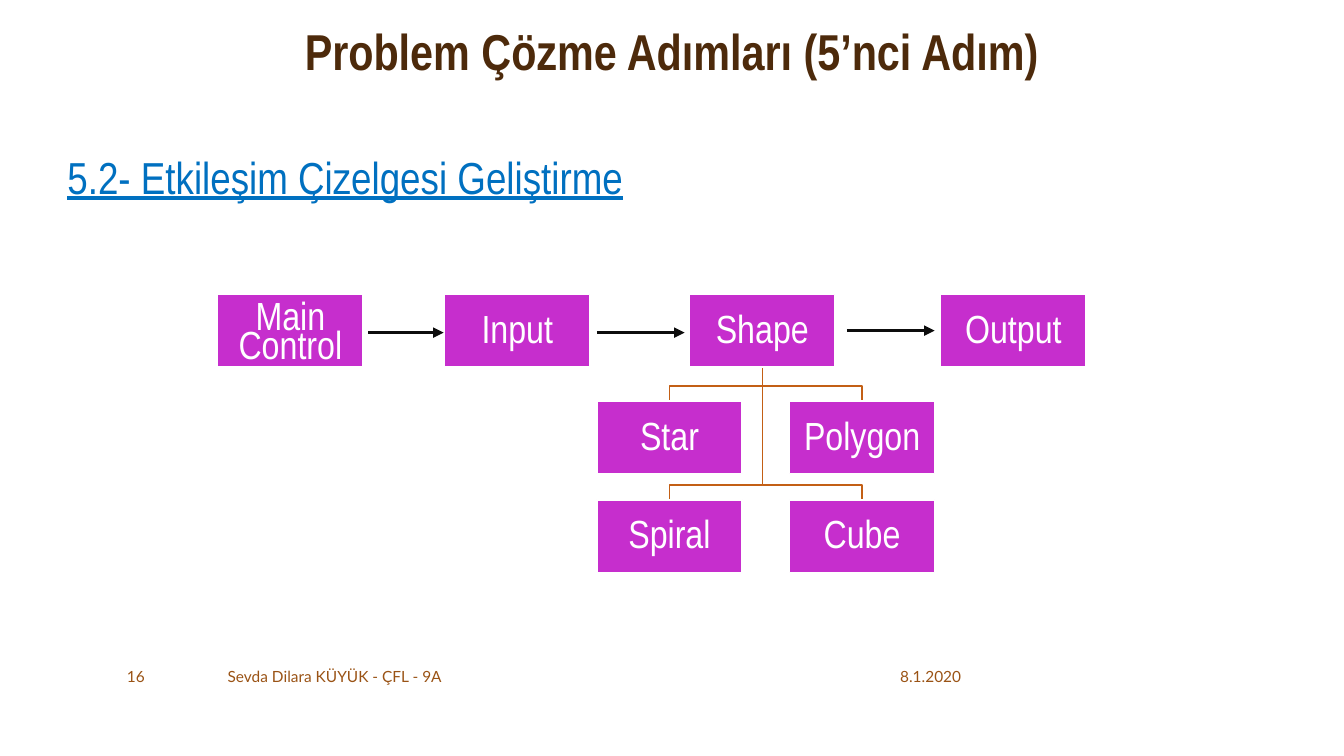
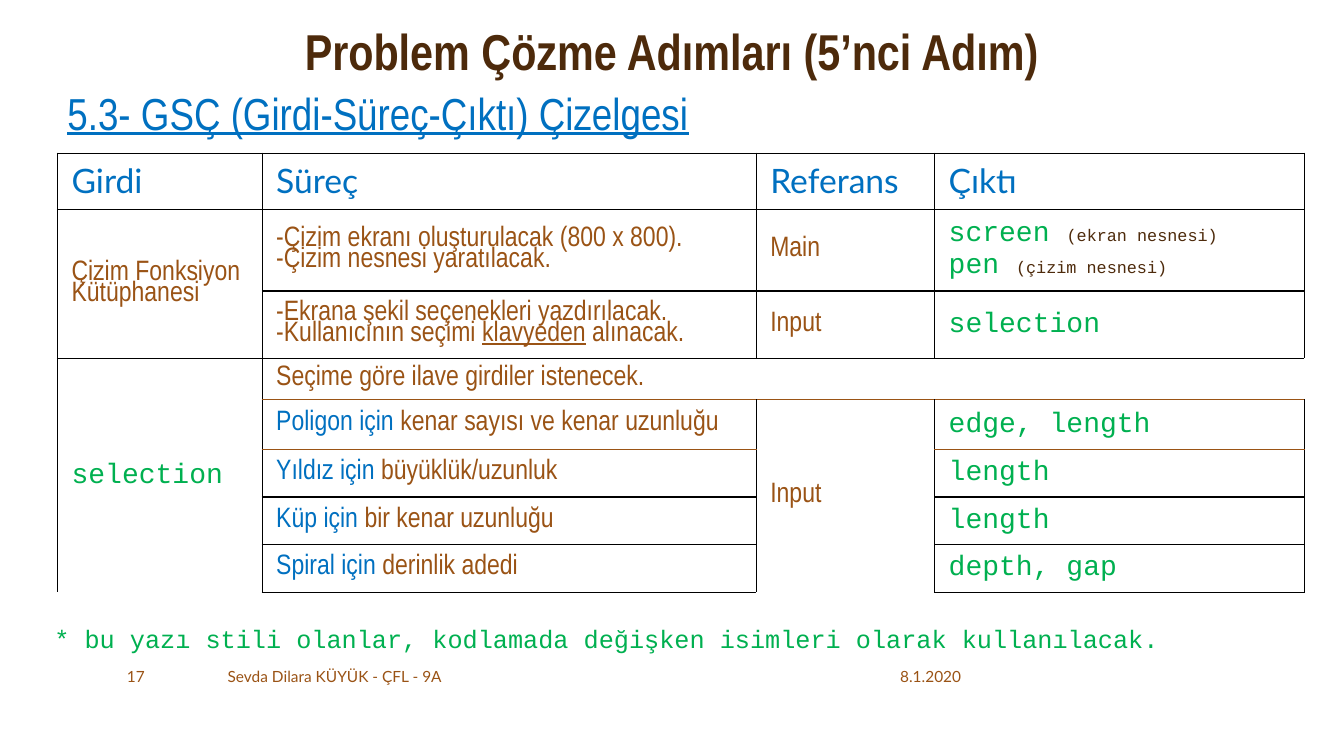
from lxml import etree
from pptx import Presentation
from pptx.dml.color import RGBColor
from pptx.enum.shapes import MSO_CONNECTOR, MSO_SHAPE
from pptx.enum.text import MSO_ANCHOR, PP_ALIGN
from pptx.oxml.ns import qn
from pptx.util import Inches, Pt

BROWN = RGBColor(0x4D, 0x2A, 0x0B)
RUST = RGBColor(0x9A, 0x53, 0x15)
ORANGE = RGBColor(0xC3, 0x5F, 0x15)
BLUE = RGBColor(0x00, 0x70, 0xC0)
GREEN = RGBColor(0x00, 0xB0, 0x50)
PURPLE = RGBColor(0xC6, 0x2E, 0xCD)
WHITE = RGBColor(0xFF, 0xFF, 0xFF)
BLACK = RGBColor(0x00, 0x00, 0x00)
INK = RGBColor(0x0D, 0x0D, 0x0D)

TOP, MIDDLE, BOTTOM = MSO_ANCHOR.TOP, MSO_ANCHOR.MIDDLE, MSO_ANCHOR.BOTTOM
CENTER = PP_ALIGN.CENTER
RECT = MSO_SHAPE.RECTANGLE
STRAIGHT = MSO_CONNECTOR.STRAIGHT

NARROW, MONO, LATO = "Arial Narrow", "Courier New", "Lato"
STYLES = {
    "title": (NARROW, 36, BROWN),
    "head": (NARROW, 32, BLUE),
    "foot": (LATO, 11, RUST),
    "box": (NARROW, 28, WHITE),
    "column": (LATO, 24, BLUE),
    "text": (NARROW, 20, RUST),
    "under": (NARROW, 20, RUST),
    "case": (NARROW, 20, BLUE),
    "code": (MONO, 20, GREEN),
    "small": (MONO, 12, BROWN),
    "note": (MONO, 18, GREEN),
}
BOLD = {"title"}
LINED = {"head", "under"}

TITLE = "Problem Çözme Adımları (5’nci Adım)"
AUTHOR = "Sevda Dilara KÜYÜK - ÇFL - 9A"
DATE = "8.1.2020"
NOTE = "* bu yazı stili olanlar, kodlamada değişken isimleri olarak kullanılacak."

BOX_W, BOX_H = 1.44, 0.72
ROW_Y = 2.92
STEPS = [("Main\nControl", 2.16), ("Input", 4.41), ("Shape", 6.84), ("Output", 9.33)]
ARROWS = [(3.65, 4.4, 3.3), (5.92, 6.79, 3.3), (8.4, 9.27, 3.28)]
KID_X = [5.92, 7.83]
KIDS = [(3.98, ["Star", "Polygon"]), (4.96, ["Spiral", "Cube"])]
DROP = 0.15

COLS = [2.03, 4.9, 1.77, 3.67]
ROWS = [0.56, 0.78, 0.66, 0.4, 0.49, 0.46, 0.45, 0.46]
MERGES = [(1, 0, 2, 0), (3, 0, 7, 0), (3, 1, 3, 3), (4, 2, 7, 2)]
RUSTY = {(4, 1), (4, 2), (4, 3), (5, 1), (5, 3)}
CELLS = {
    (0, 0): [[("Girdi", "column")]],
    (0, 1): [[("Süreç", "column")]],
    (0, 2): [[("Referans", "column")]],
    (0, 3): [[("Çıktı", "column")]],
    (1, 0): [[("Çizim Fonksiyon Kütüphanesi", "text")]],
    (1, 1): [[("-Çizim ekranı oluşturulacak (800 x 800).", "text")],
             [("-Çizim nesnesi yaratılacak.", "text")]],
    (1, 2): [[("Main", "text")]],
    (1, 3): [[("screen ", "code"), ("(ekran nesnesi)", "small")],
             [("pen ", "code"), ("(çizim nesnesi)", "small")]],
    (2, 1): [[("-Ekrana şekil seçenekleri yazdırılacak.", "text")],
             [("-Kullanıcının seçimi ", "text"), ("klavyeden", "under"),
              (" alınacak.", "text")]],
    (2, 2): [[("Input", "text")]],
    (2, 3): [[("selection", "code")]],
    (3, 0): [[("selection", "code")]],
    (3, 1): [[("Seçime göre ilave girdiler istenecek.", "text")]],
    (4, 1): [[("Poligon için ", "case"), ("kenar sayısı ve kenar uzunluğu", "text")]],
    (4, 2): [[("Input", "text")]],
    (4, 3): [[("edge, length", "code")]],
    (5, 1): [[("Yıldız için ", "case"), ("büyüklük/uzunluk", "text")]],
    (5, 3): [[("length", "code")]],
    (6, 1): [[("Küp için ", "case"), ("bir kenar uzunluğu", "text")]],
    (6, 3): [[("length", "code")]],
    (7, 1): [[("Spiral için ", "case"), ("derinlik adedi", "text")]],
    (7, 3): [[("depth, gap", "code")]],
}


def style(font, name):
    font.name, size, font.color.rgb = STYLES[name]
    font.size = Pt(size)
    if name in BOLD:
        font.bold = True
    if name in LINED:
        font.underline = True


def write(frame, paras, align=None, space=None):
    for i, runs in enumerate(paras):
        para = frame.add_paragraph() if i else frame.paragraphs[0]
        if align is not None:
            para.alignment = align
        if space:
            para.line_spacing = space
        if len(runs) == 1:
            style(para.font, runs[0][1])
        for text, name in runs:
            run = para.add_run()
            run.text = text
            if len(runs) > 1:
                style(run.font, name)


def label(slide, text, name, x, y, w, h, anchor=TOP, align=None, space=None):
    box = slide.shapes.add_textbox(Inches(x), Inches(y), Inches(w), Inches(h))
    frame = box.text_frame
    frame.word_wrap = True
    frame.vertical_anchor = anchor
    write(frame, [[(text, name)]], align, space)


def start(deck, number, head, y):
    slide = deck.slides.add_slide(deck.slide_layouts[6])
    label(slide, TITLE, "title", 0, 0.24, 13.33, 0.59, MIDDLE, CENTER, 0.9)
    label(slide, head, "head", 0.57, y, 12, 0.72)
    for text, x, w in [(DATE, 8.83, 1.53), (AUTHOR, 2.16, 6.5), (str(number), 1.16, 0.83)]:
        label(slide, text, "foot", x, 6.58, w, 0.25, MIDDLE)
    return slide


def block(slide, text, x, y):
    box = slide.shapes.add_shape(RECT, Inches(x), Inches(y), Inches(BOX_W), Inches(BOX_H))
    box.shadow.inherit = False
    box.fill.solid()
    box.fill.fore_color.rgb = PURPLE
    box.line.color.rgb = WHITE
    box.line.width = Pt(1)
    frame = box.text_frame
    frame.word_wrap = True
    frame.margin_left = frame.margin_right = Inches(0.02)
    frame.margin_top = frame.margin_bottom = Inches(0.02)
    lines = text.split("\n")
    tight = len(lines) > 1
    frame.vertical_anchor = BOTTOM if tight else MIDDLE
    write(frame, [[(line, "box")] for line in lines], CENTER, 0.6 if tight else 0.9)


def branch(slide, x, y, kid_x, kid_y):
    bend = Inches(kid_y - DROP)
    path = slide.shapes.build_freeform(Inches(x), Inches(y))
    path.add_line_segments([(Inches(x), bend), (Inches(kid_x), bend),
                            (Inches(kid_x), Inches(kid_y))], close=False)
    line = path.convert_to_shape()
    line.shadow.inherit = False
    line.fill.background()
    line.line.color.rgb = ORANGE
    line.line.width = Pt(1)


def arrow(slide, x, end, y):
    line = slide.shapes.add_connector(STRAIGHT, Inches(x), Inches(y), Inches(end), Inches(y))
    line.line.color.rgb = INK
    line.line.width = Pt(2.5)
    etree.SubElement(line.line._get_or_add_ln(), qn("a:tailEnd"), type="triangle")
    etree.SubElement(line._element.spPr, qn("a:effectLst"))


def chart(deck):
    slide = start(deck, 16, "5.2- Etkileşim Çizelgesi Geliştirme", 1.44)
    stem = dict(STEPS)["Shape"] + BOX_W / 2
    for y, names in KIDS:
        for x in KID_X:
            branch(slide, stem, ROW_Y + BOX_H, x + BOX_W / 2, y)
    for text, x in STEPS:
        block(slide, text, x, ROW_Y)
    for y, names in KIDS:
        for text, x in zip(names, KID_X):
            block(slide, text, x, y)
    for ends in ARROWS:
        arrow(slide, *ends)


def owner(row, col):
    for top, left, low, right in MERGES:
        if top <= row <= low and left <= col <= right:
            return top, left
    return row, col


def border(cell, row, col):
    props = cell._tc.get_or_add_tcPr()
    sides = [("a:lnL", row, col - 1, None), ("a:lnR", row, col + 1, None),
             ("a:lnT", row - 1, col, row), ("a:lnB", row + 1, col, row + 1)]
    spot = 0
    for tag, near, side, edge in sides:
        if owner(near, side) == owner(row, col):
            continue
        line = etree.Element(qn(tag), w=str(Pt(1)))
        fill = etree.SubElement(line, qn("a:solidFill"))
        color = RUST if (edge, col) in RUSTY else BLACK
        etree.SubElement(fill, qn("a:srgbClr"), val=str(color))
        props.insert(spot, line)
        spot += 1


def table(deck):
    slide = start(deck, 17, "5.3- GSÇ (Girdi-Süreç-Çıktı) Çizelgesi", 0.8)
    grid = slide.shapes.add_table(len(ROWS), len(COLS), Inches(0.57), Inches(1.52),
                                  Inches(sum(COLS)), Inches(sum(ROWS))).table
    grid.first_row = grid.horz_banding = False
    for col, width in zip(grid.columns, COLS):
        col.width = Inches(width)
    for row, height in zip(grid.rows, ROWS):
        row.height = Inches(height)
    for top, left, low, right in MERGES:
        grid.cell(top, left).merge(grid.cell(low, right))
    for r in range(len(ROWS)):
        for c in range(len(COLS)):
            cell = grid.cell(r, c)
            cell.margin_left = cell.margin_right = Inches(0.14)
            cell.margin_top = cell.margin_bottom = Inches(0.07)
            cell.vertical_anchor = MIDDLE if r else TOP
            cell.fill.background()
            border(cell, r, c)
            paras = CELLS.get((r, c), [])
            plain = paras and STYLES[paras[0][0][1]][0] == NARROW
            write(cell.text_frame, paras, space=0.8 if plain else None)
            if not paras:
                style(cell.text_frame.paragraphs[0].font, "small")
    label(slide, NOTE, "note", 0.44, 6.13, 11.92, 0.4)


def main():
    deck = Presentation()
    deck.slide_width, deck.slide_height = Inches(13.33), Inches(7.5)
    chart(deck)
    table(deck)
    deck.save("out.pptx")


if __name__ == "__main__":
    main()
